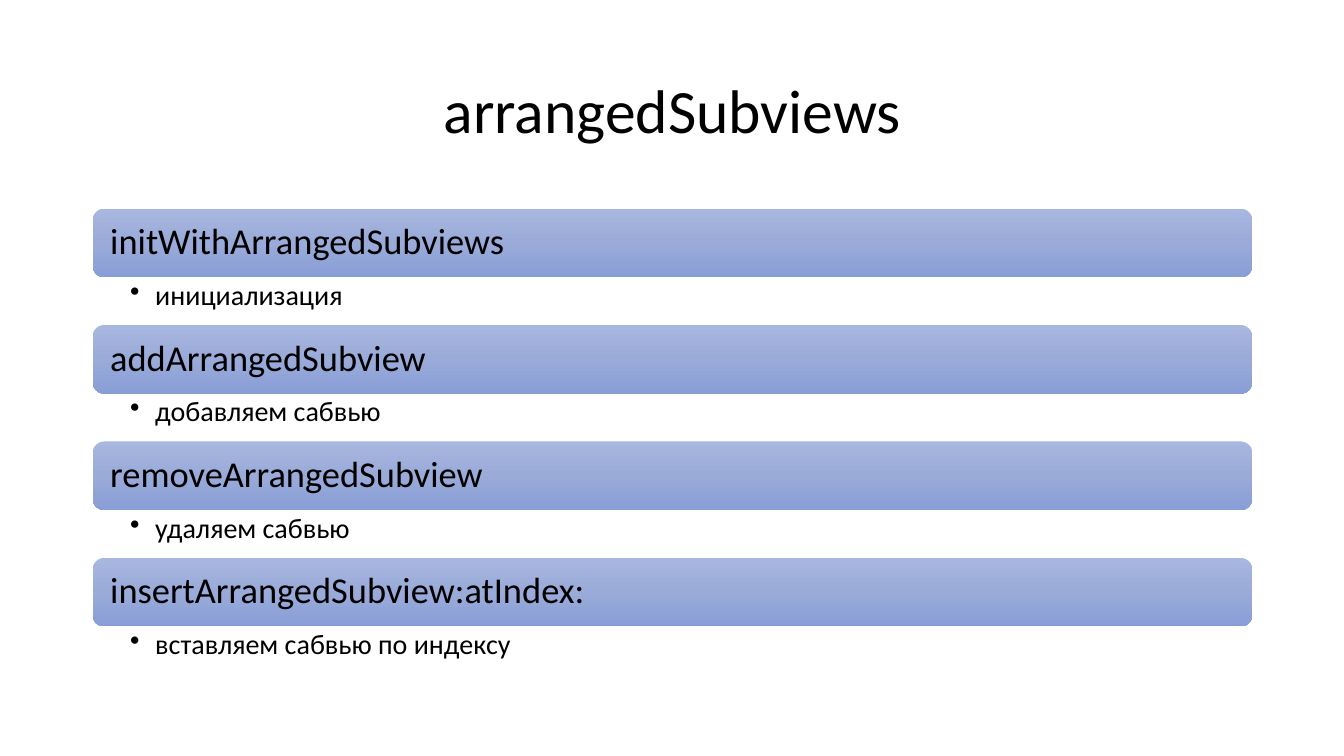
from copy import deepcopy
from dataclasses import dataclass

from lxml import etree
from pptx import Presentation
from pptx import util as u
from pptx.dml.color import RGBColor
from pptx.enum import shapes, text
from pptx.oxml import ns
from pptx.shapes.autoshape import Shape
from pptx.slide import Slide


@dataclass(frozen=True)
class Theme:
    font: str = "Calibri"
    ink: str = "000000"
    paper: str = "FFFFFF"
    bar_stops: tuple[str, ...] = ("A8B7DF", "9AABD9", "889ED7")
    title_size: int = 44
    method_size: int = 26
    note_size: int = 20


@dataclass(frozen=True)
class Grid:
    page_width: float = 13.33
    page_height: float = 7.5
    left: float = 0.92
    width: float = 11.5
    title_top: float = 0.4
    title_height: float = 1.45
    first_row: float = 2.07
    bar_height: float = 0.68
    note_height: float = 0.475

    def row_top(self, row: int) -> float:
        return self.first_row + row * (self.bar_height + self.note_height)


@dataclass(frozen=True)
class Method:
    name: str
    note: str


THEME = Theme()
GRID = Grid()
METHODS = (
    Method("initWithArrangedSubviews", "инициализация"),
    Method("addArrangedSubview", "добавляем сабвью"),
    Method("removeArrangedSubview", "удаляем сабвью"),
    Method("insertArrangedSubview:atIndex:", "вставляем сабвью по индексу"),
)


def write(
    box: Shape,
    words: str,
    *,
    size: int,
    insets: tuple[float, float, float, float],
    align: text.PP_ALIGN = text.PP_ALIGN.LEFT,
    anchor: text.MSO_ANCHOR = text.MSO_ANCHOR.MIDDLE,
    bullet: str = "",
    indent: float = 0.25,
) -> None:
    frame = box.text_frame
    frame.word_wrap = True
    frame.vertical_anchor = anchor
    frame.margin_left, frame.margin_top, frame.margin_right, frame.margin_bottom = map(u.Inches, insets)
    para = frame.paragraphs[0]
    if bullet:
        para.level = 1
        properties = para._p.get_or_add_pPr()
        properties.set("marL", str(u.Inches(indent)))
        properties.set("indent", str(-u.Inches(indent)))
        etree.SubElement(properties, ns.qn("a:buChar")).set("char", bullet)
    para.alignment = align
    para.line_spacing = 0.9
    span = para.add_run()
    span.text = words
    span.font.name = THEME.font
    span.font.size = u.Pt(size)
    span.font.color.rgb = RGBColor.from_string(THEME.ink)


def add_box(page: Slide, top: float, height: float) -> Shape:
    return page.shapes.add_textbox(
        u.Inches(GRID.left), u.Inches(top), u.Inches(GRID.width), u.Inches(height)
    )


def add_bar(page: Slide, top: float) -> Shape:
    bar = page.shapes.add_shape(
        shapes.MSO_SHAPE.ROUNDED_RECTANGLE,
        u.Inches(GRID.left), u.Inches(top), u.Inches(GRID.width), u.Inches(GRID.bar_height),
    )
    bar.shadow.inherit = False
    bar.line.fill.background()
    bar.fill.gradient()
    bar.fill.gradient_angle = 270
    stop_list = bar._element.spPr.find(".//" + ns.qn("a:gsLst"))
    stop_list.insert(1, deepcopy(stop_list[0]))
    last = len(THEME.bar_stops) - 1
    for index, (stop, color) in enumerate(zip(bar.fill.gradient_stops, THEME.bar_stops)):
        stop.position = index / last
        stop.color.rgb = RGBColor.from_string(color)
    return bar


def add_method(page: Slide, row: int, method: Method) -> None:
    top = GRID.row_top(row)
    write(add_bar(page, top), method.name, size=THEME.method_size, insets=(0.14, 0.11, 0.14, 0.11))
    write(
        add_box(page, top + GRID.bar_height, GRID.note_height),
        method.note,
        size=THEME.note_size,
        insets=(0.37, 0.04, 0.2, 0.04),
        anchor=text.MSO_ANCHOR.TOP,
        bullet="•",
    )


def main() -> None:
    deck = Presentation()
    deck.slide_width = u.Inches(GRID.page_width)
    deck.slide_height = u.Inches(GRID.page_height)
    page = deck.slides.add_slide(deck.slide_layouts[6])
    page.background.fill.solid()
    page.background.fill.fore_color.rgb = RGBColor.from_string(THEME.paper)
    write(
        add_box(page, GRID.title_top, GRID.title_height),
        "arrangedSubviews",
        size=THEME.title_size,
        insets=(0.1, 0.05, 0.1, 0.05),
        align=text.PP_ALIGN.CENTER,
    )
    for row, method in enumerate(METHODS):
        add_method(page, row, method)
    deck.save("out.pptx")


if __name__ == "__main__":
    main()
